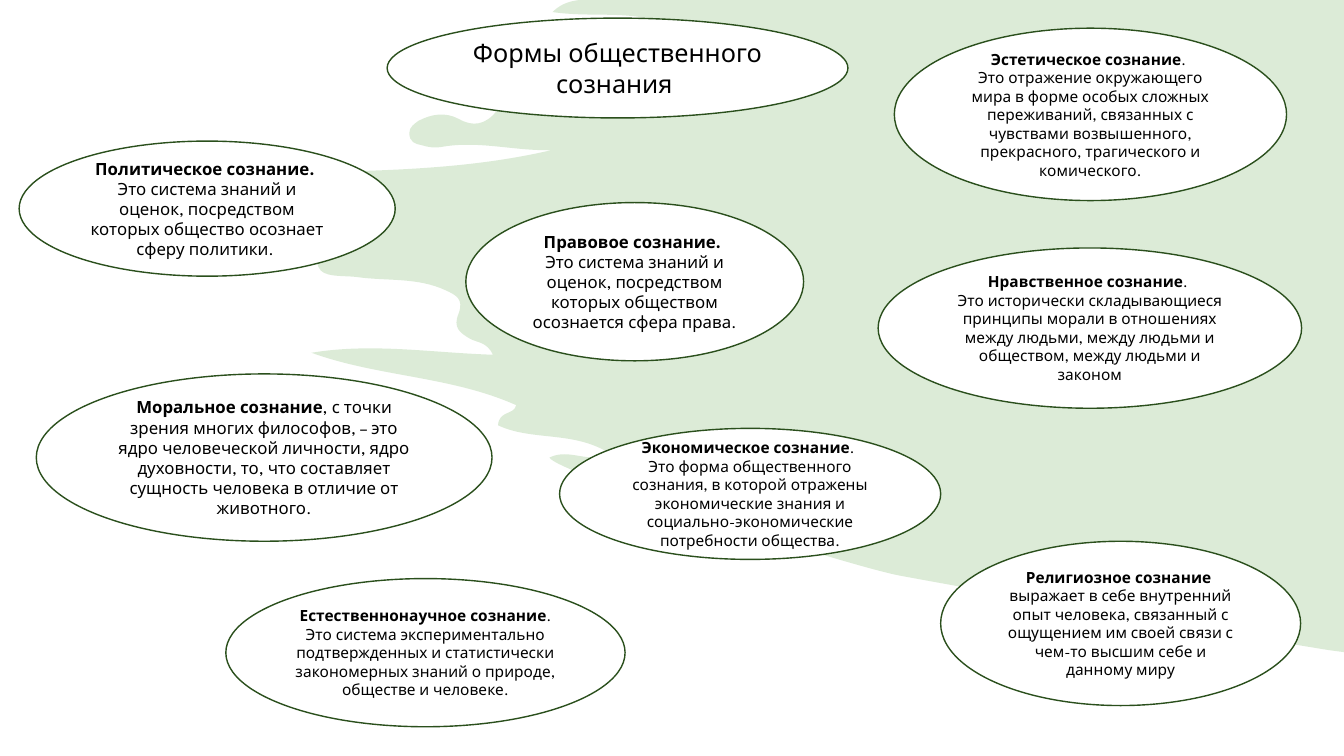
from lxml import etree
from pptx import Presentation
from pptx.dml.color import RGBColor
from pptx.enum.shapes import MSO_SHAPE as Shape
from pptx.enum.text import MSO_ANCHOR as Anchor, PP_ALIGN as Align
from pptx.oxml.ns import qn
from pptx.util import Inches, Pt

FONT = "League Spartan"
CELL = Inches(0.01)  # the grid step for every length
BLANK = 6


def color(hex_code):
    return RGBColor.from_string(hex_code)


deck = Presentation()
deck.slide_width, deck.slide_height = 1333 * CELL, 750 * CELL
page = deck.slides.add_slide(deck.slide_layouts[BLANK])

# Green blot: each row holds two control points and the end of a curve
blot_corners = [(1333, 0), (575, 0), (1333, 647)]
blot_curves = [
    (567, 1, 557, 3, 548, 12), (595, 19, 639, 6, 678, 34),
    (664, 47, 648, 44, 632, 47), (616, 49, 600, 53, 584, 56),
    (567, 59, 549, 60, 532, 63), (518, 65, 502, 61, 485, 77),
    (527, 88, 566, 71, 608, 82), (584, 92, 563, 89, 544, 95),
    (527, 100, 506, 94, 492, 111), (481, 124, 469, 126, 455, 118),
    (442, 111, 428, 113, 415, 120), (411, 123, 406, 126, 406, 132),
    (406, 141, 412, 143, 418, 144), (424, 146, 431, 147, 437, 146),
    (474, 139, 510, 150, 547, 149), (431, 176, 314, 167, 193, 176),
    (209, 195, 229, 179, 241, 193), (230, 222, 234, 237, 258, 239),
    (280, 241, 304, 231, 316, 265), (320, 276, 341, 273, 355, 275),
    (384, 279, 414, 275, 442, 288), (453, 293, 460, 297, 455, 311),
    (449, 325, 456, 330, 466, 336), (473, 340, 483, 339, 489, 352),
    (428, 350, 369, 340, 309, 350), (375, 374, 447, 373, 512, 402),
    (510, 412, 495, 407, 494, 422), (528, 438, 569, 427, 605, 450),
    (584, 461, 565, 444, 545, 454), (552, 469, 840, 561, 892, 571),
    (978, 587, 1195, 625, 1318, 645),
]
top_right, top_left, bottom_right = blot_corners
curve_points = [row[i:i + 2] for row in blot_curves for i in (0, 2, 4)]
builder = page.shapes.build_freeform(*top_right, scale=CELL)
builder.add_line_segments([top_left, *curve_points, bottom_right], close=True)
blot = builder.convert_to_shape()

# Every three points between the corners become one Bezier curve
lines = list(blot.element.iter(qn("a:lnTo")))[1:-1]
for first in range(0, len(lines), 3):
    curve = etree.Element(qn("a:cubicBezTo"))
    lines[first].addprevious(curve)
    for line in lines[first:first + 3]:
        curve.append(line[0])
        line.getparent().remove(line)

blot.shadow.inherit = False
blot.line.fill.background()
blot.fill.solid()
blot.fill.fore_color.rgb = color("549E39")
fill_color = blot.element.spPr.find(".//" + qn("a:srgbClr"))
etree.SubElement(fill_color, qn("a:alpha"), val="20000")

# Ovals: place on the grid, text size, then paragraphs of (bold, regular) text
ovals = [
    ((384, 18, 457, 99), 18, [("", "Формы общественного сознания ")]),
    ((19, 140, 373, 134), 12, [
        ("Политическое сознание. ", ""),
        ("", "Это система знаний и оценок, посредством которых общество осознает "
             "сферу политики. ")]),
    ((462, 201, 335, 157), 12, [
        ("Правовое сознание. ", ""),
        ("", "Это система знаний и оценок, посредством которых обществом осознается "
             "сфера права.")]),
    ((871, 246, 420, 159), 11, [
        ("Нравственное сознание", ". "),
        ("", "Это исторически складывающиеся принципы морали в отношениях между "
             "людьми, между людьми и обществом, между людьми и законом")]),
    ((887, 28, 389, 171), 11, [
        ("Эстетическое сознание", ". "),
        ("", "Это отражение окружающего мира в форме особых сложных переживаний, "
             "связанных с чувствами возвышенного, прекрасного, трагического и "
             "комического.")]),
    ((933, 537, 357, 163), 11, [
        ("Религиозное сознание ", ""),
        ("", "выражает в себе внутренний опыт человека, связанный с ощущением им "
             "своей связи с чем-то высшим себе и данному миру")]),
    ((224, 574, 396, 147), 11, [
        ("Естественнонаучное сознание",
         ". Это система экспериментально подтвержденных и статистически "
         "закономерных знаний о природе, обществе и человеке.")]),
    ((555, 425, 378, 130), 11, [
        ("Экономическое сознание", ". "),
        ("", "Это форма общественного сознания, в которой отражены экономические "
             "знания и социально-экономические потребности общества.")]),
    ((36, 371, 452, 166), 12, [
        ("Моральное сознание",
         ", с точки зрения многих философов, – это ядро человеческой личности, ядро "
         "духовности, то, что составляет сущность человека в отличие от животного.")]),
]
for place, size, paragraphs in ovals:
    oval = page.shapes.add_shape(Shape.OVAL, *[length * CELL for length in place])
    oval.shadow.inherit = False
    oval.fill.solid()
    oval.fill.fore_color.rgb = color("FFFFFF")
    oval.line.color.rgb = color("2A4F1C")
    oval.line.width = Pt(1)
    frame = oval.text_frame
    frame.word_wrap = True
    frame.vertical_anchor = Anchor.MIDDLE
    for index, parts in enumerate(paragraphs):
        para = frame.add_paragraph() if index else frame.paragraphs[0]
        para.alignment = Align.CENTER
        for text, bold in zip(parts, (True, False)):
            if text:
                span = para.add_run()
                span.text = text
                span.font.name = FONT
                span.font.size = Pt(size)
                span.font.bold = bold
                span.font.color.rgb = color("000000")

deck.save("out.pptx")
